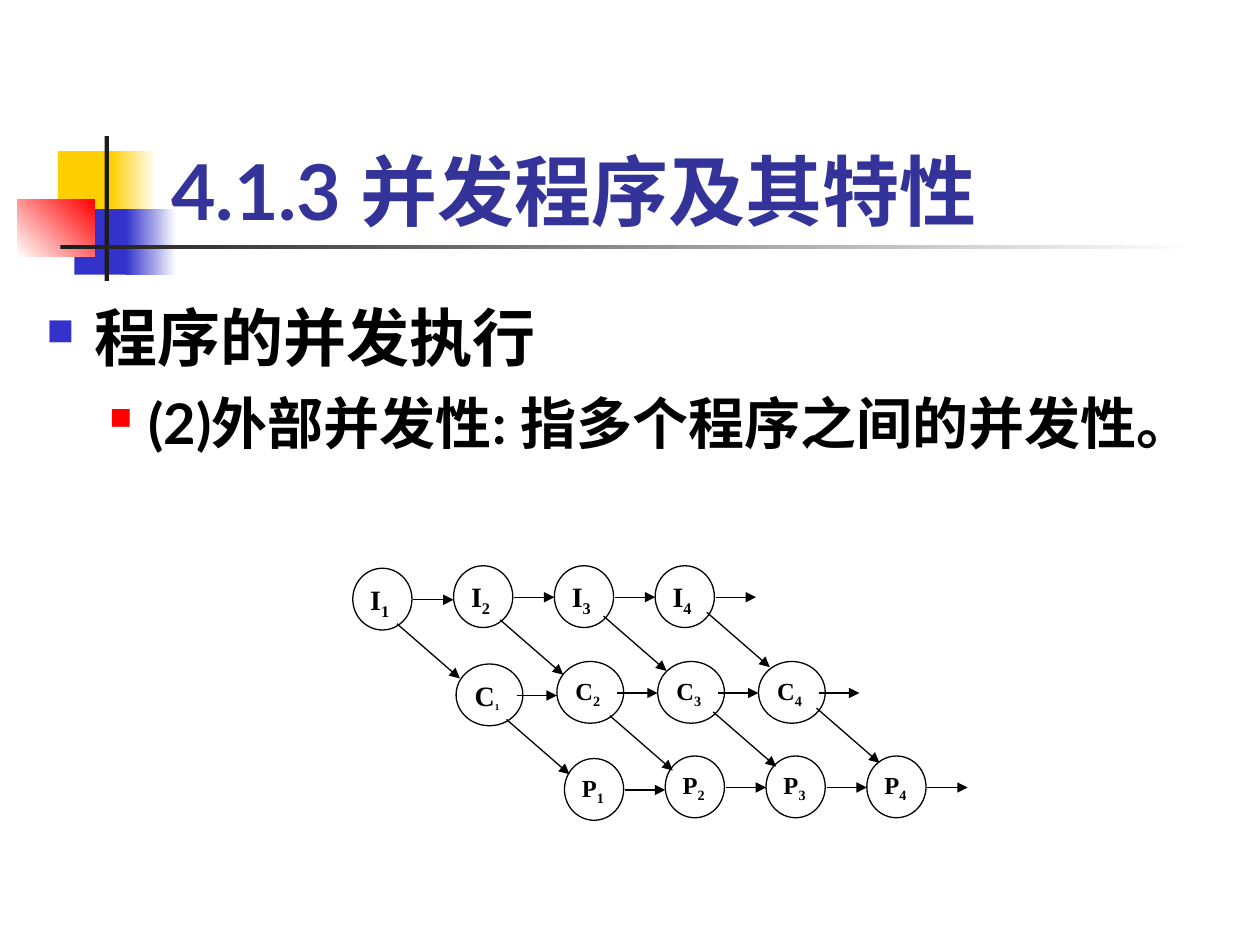
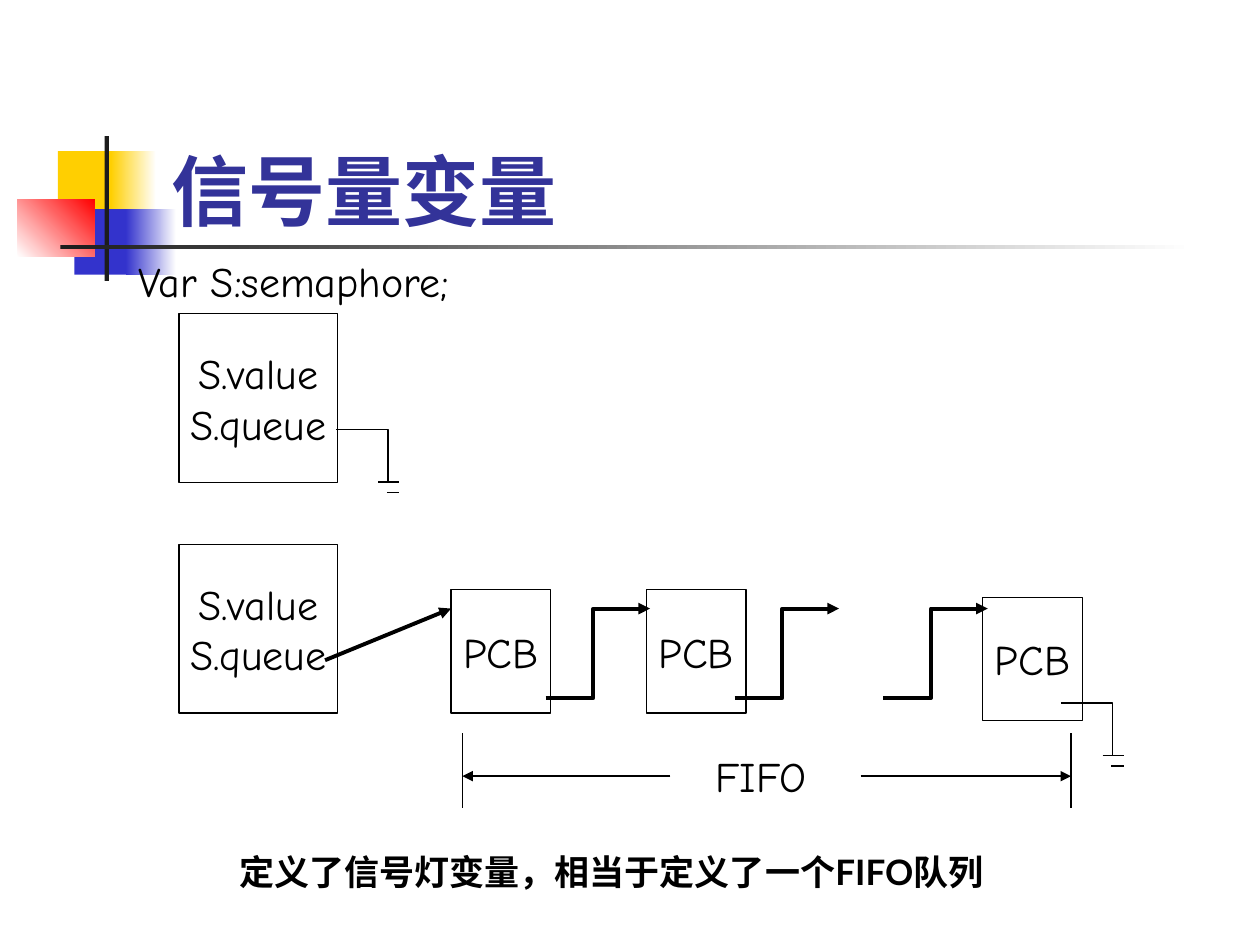
"""Builds two lecture slides on concurrent programs and semaphores, on a grid of 100 columns by 75 rows."""
from lxml.etree import SubElement
from pptx import Presentation
from pptx.dml.color import RGBColor
from pptx.enum.shapes import MSO_CONNECTOR, MSO_SHAPE
from pptx.enum.text import MSO_ANCHOR, PP_ALIGN
from pptx.oxml.ns import qn
from pptx.util import Inches, Pt

rgb = RGBColor.from_string
prs = Presentation()
prs.slide_width, prs.slide_height = Inches(10), Inches(7.5)
U = prs.slide_width // 100

BLACK, WHITE, DARK = "000000", "FFFFFF", "1C1C1C"
YELLOW, BLUE, RED, TITLE_BLUE = "FFCF01", "3333CC", "FF0000", "333399"
TITLE = {"name": "Lato", "size": Pt(44), "bold": True}
HEAD = {"name": "Lato", "size": Pt(36), "bold": True}
SUBHEAD = {"name": "Lato", "size": Pt(32), "bold": True}
CAPTION = {"name": "Lato", "size": Pt(20), "bold": True}
HAND = {"name": "Comic Neue", "size": Pt(24), "bold": False}
FRAME = {"word_wrap": True, "vertical_anchor": MSO_ANCHOR.TOP}
CENTRED = {"word_wrap": False, "vertical_anchor": MSO_ANCHOR.MIDDLE}


def box(s, at, paras=(), kind=None, fill=(), angle=0, line=None, frame=FRAME,
        align=PP_ALIGN.LEFT, color=BLACK):
    """Add a text box or preset shape; each paragraph is a list of (text, font) runs."""
    at = [round(v * U) for v in at]
    sp = s.shapes.add_shape(kind, *at) if kind else s.shapes.add_textbox(*at)
    if kind:
        sp.shadow.inherit = False
        if len(fill) == 2:
            sp.fill.gradient()
            sp.fill.gradient_angle = angle
            for stop, c in zip(sp.fill.gradient_stops, fill):
                stop.color.rgb = rgb(c)
        elif fill:
            sp.fill.solid()
            sp.fill.fore_color.rgb = rgb(fill[0])
        else:
            sp.fill.background()
        if line:
            sp.line.color.rgb, sp.line.width = rgb(line), Pt(0.75)
        else:
            sp.line.fill.background()
    tf = sp.text_frame
    for key, value in frame.items():
        setattr(tf, key, value)
    for i, runs in enumerate(paras):
        p = tf.add_paragraph() if i else tf.paragraphs[0]
        p.alignment = align
        for text, font in runs:
            r = p.add_run()
            r.text = text
            r.font.color.rgb = rgb(color)
            for key, value in font.items():
                setattr(r.font, key, value)
    return sp


def path(s, points, width=0.75, arrow=True):
    """Add a connector through two points, or an open outline through more."""
    pts = [(round(x * U), round(y * U)) for x, y in points]
    if len(pts) == 2:
        sp = s.shapes.add_connector(MSO_CONNECTOR.STRAIGHT, *pts[0], *pts[1])
    else:
        fb = s.shapes.build_freeform(*pts[0])
        fb.add_line_segments(pts[1:], close=False)
        sp = fb.convert_to_shape()
        sp.fill.background()
    sp.line.color.rgb, sp.line.width = rgb(BLACK), Pt(width)
    spPr = sp._element.spPr
    if arrow:
        SubElement(spPr.find(qn("a:ln")), qn("a:tailEnd"), type="triangle")
    SubElement(spPr, qn("a:effectLst"))


BANDS = [
    ((4.6, 12, 4.8, 5.2), [YELLOW], 0),
    ((8.8, 12, 3.6, 5.2), [YELLOW, WHITE], 0),
    ((5.9, 16.6, 4.6, 5.2), [BLUE], 0),
    ((10, 16.6, 4, 5.2), [BLUE, WHITE], 0),
    ((1.4, 15.8, 6.1, 4.6), [WHITE, RED], 45),
    ((8.3, 10.8, 0.35, 11.5), [DARK], 0),
    ((4.8, 19.45, 90, 0.35), [DARK, WHITE], 0),
]
slides = []
for title in ("4.1.3 并发程序及其特性", "信号量变量"):
    s = prs.slides.add_slide(prs.slide_layouts[6])
    for at, fill, angle in BANDS:
        box(s, at, kind=MSO_SHAPE.RECTANGLE, fill=fill, angle=angle)
    box(s, (12.6, 6.7, 85.2, 12.5), [[(title, TITLE)]], color=TITLE_BLUE,
        frame={"word_wrap": True, "vertical_anchor": MSO_ANCHOR.BOTTOM})
    slides.append(s)

s = slides[0]
body = box(s, (2.7, 23.2, 97.3, 45), [
    [("程序的并发执行", HEAD)],
    [("(2)外部并发性: 指多个程序之间的并发性。", SUBHEAD)],
])
bullets = [(0, 3.8, 3.8, BLUE, 60), (1, 8.1, 3.1, RED, 55)]
for p, (level, left, hang, color, size) in zip(body.text_frame.paragraphs, bullets):
    p.level = level
    if level:
        p.space_before = Pt(8)
    pPr = p._p.get_or_add_pPr()
    pPr.set("marL", str(round(left * U)))
    pPr.set("indent", str(round(-hang * U)))
    SubElement(SubElement(pPr, qn("a:buClr")), qn("a:srgbClr"), val=color)
    SubElement(pPr, qn("a:buSzPct"), val=str(size * 1000))
    SubElement(pPr, qn("a:buChar"), char="■")

STEP = 8
NODE_FRAME = {**FRAME, "margin_left": Inches(0.07), "margin_right": Inches(0.07),
              "margin_top": Inches(0.04), "margin_bottom": Inches(0.04)}
stages = [("I", 28, 44.9, 4.7, 16, 31.5), ("C", 36.2, 52.5, 5.3, 14, 40.2),
          ("P", 44.8, 60, 4.7, 14, None)]
for name, left, top, width, size, _ in stages:
    for i in range(4):
        first_c = name == "C" and i == 0
        font = {"name": "Times New Roman", "size": Pt(16 if first_c else size), "bold": True}
        sub = {**font, "size": Pt(9)} if first_c else font
        sp = box(s, (left + STEP * i, top + (0 if i else 0.2), width, 4.9),
                 [[(name, font), (str(i + 1), sub)]], kind=MSO_SHAPE.OVAL, fill=[WHITE],
                 line=BLACK, frame=NODE_FRAME, align=PP_ALIGN.JUSTIFY)
        r = sp.text_frame.paragraphs[0].runs[1]
        r._r.get_or_add_rPr().set("baseline", "-25000")
for name, left, top, width, size, down in stages:
    for i in range(4):
        x, y = left + 4.8 + STEP * i, top + (2.5 if i else 2.7)
        path(s, [(x, y), (x + 3.2, y)])
        if down:
            x, y = down + 8.2 * i, top + 4.6 - 0.3 * i
            path(s, [(x, y), (x + 5, y + 4.35)])

s = slides[1]
semaphore = [[("S.value", HAND)], [("S.queue", HAND)]]
pcb = [[("PCB", HAND)]]
records = [((14.2, y, 12.6, 13.4), semaphore) for y in (24.9, 43.2)]
records += [((x, y, 7.9, 9.8), pcb) for x, y in ((35.8, 46.8), (51.3, 46.8), (78, 47.4))]
for at, paras in records:
    box(s, at, paras, kind=MSO_SHAPE.RECTANGLE, line=BLACK, frame=CENTRED,
        align=PP_ALIGN.CENTER)

for x in (43.3, 58.3, 70.1):
    path(s, [(x, 55.4), (x + 3.8, 55.4), (x + 3.8, 48.3), (x + 8.3, 48.3)], 2.25)
path(s, [(25.8, 52.4), (35.8, 48.3)], 2.25)
for x, y in ((84.2, 55.8), (26.7, 34.1)):
    path(s, [(x, y), (x + 4.1, y), (x + 4.1, y + 4.1)], arrow=False)
    path(s, [(x + 3.3, y + 4.15), (x + 5, y + 4.15)], arrow=False)
    path(s, [(x + 4, y + 5), (x + 5, y + 5)], arrow=False)
for edge, inner in ((36.7, 53.2), (85, 68.3)):
    path(s, [(edge, 58.2), (edge, 64.1)], arrow=False)
    path(s, [(inner, 61.6), (edge, 61.6)])

box(s, (10, 19.8, 70.8, 5), [[("Var S:semaphore;", HAND)]])
box(s, (55.8, 59.1, 11.7, 5), [[("FIFO", HAND)]])
caption = box(s, (13, 67, 79.5, 4.4),
              [[("定义了信号灯变量，相当于定义了一个FIFO队列", CAPTION)]])
caption.text_frame.paragraphs[0]._p.get_or_add_pPr().set("marL", str(5 * U))

prs.save("out.pptx")
